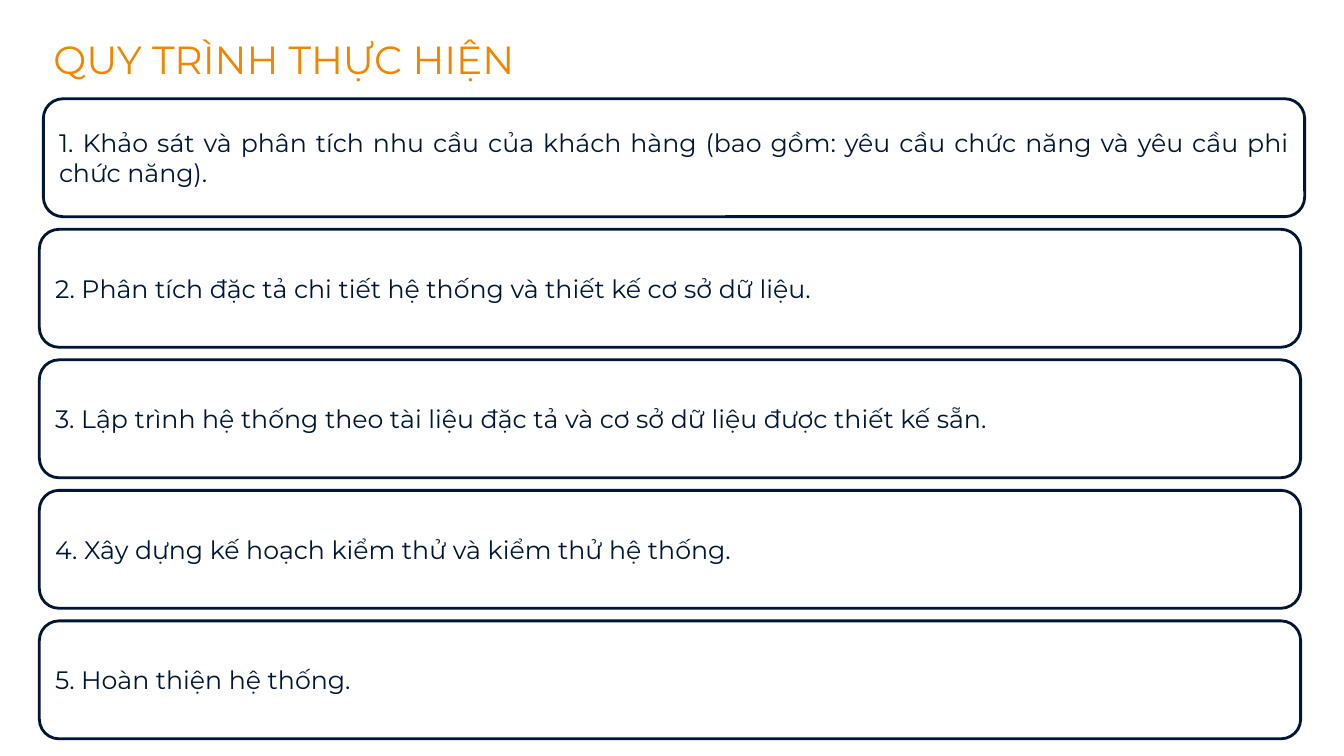
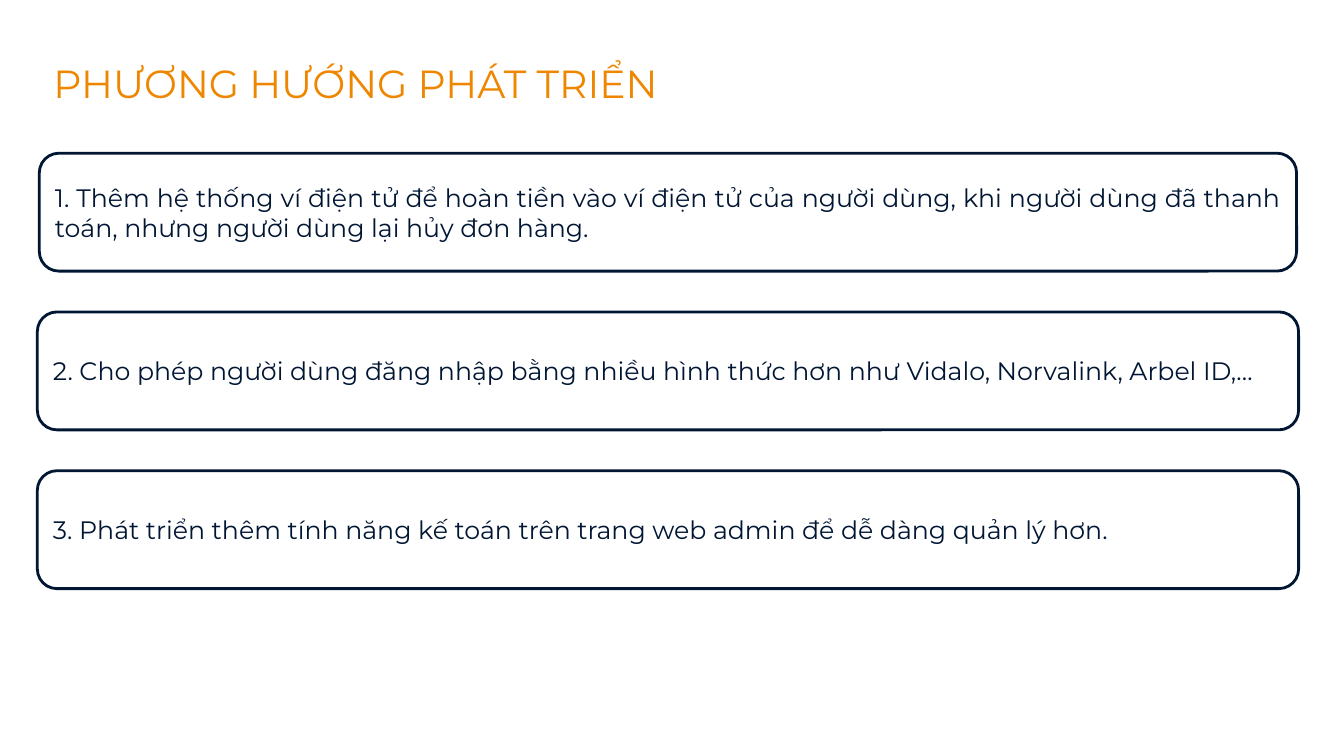
from pptx import Presentation
from pptx.dml.color import RGBColor
from pptx.enum.shapes import MSO_SHAPE
from pptx.enum.text import MSO_ANCHOR, MSO_AUTO_SIZE, PP_ALIGN
from pptx.util import Inches, Pt

COLORS = {"title": "EF8600", "ink": "001633", "card": "FFFFFF"}
FONT = "Montserrat"
CARD_HEIGHT = 1.17
TITLE_LEFT, TITLE_HEIGHT = 0.43, 0.57

# Each stack box is left, top, width, height; first_card is left, width
SLIDES = [
    {
        "title": "QUY TRÌNH THỰC HIỆN",
        "title_top": 0.3,
        "title_width": 6.96,
        "stack": (0.39, 0.98, 12.51, 6.35),
        "first_card": (0.43, 12.51),
        "items": [
            "1. Khảo sát và phân tích nhu cầu của khách hàng (bao gồm: "
            "yêu cầu chức năng và yêu cầu phi chức năng).",
            "2. Phân tích đặc tả chi tiết hệ thống và thiết kế cơ sở dữ liệu.",
            "3. Lập trình hệ thống theo tài liệu đặc tả và cơ sở dữ liệu "
            "được thiết kế sẵn.",
            "4. Xây dựng kế hoạch kiểm thử và kiểm thử hệ thống.",
            "5. Hoàn thiện hệ thống.",
        ],
    },
    {
        "title": "PHƯƠNG HƯỚNG PHÁT TRIỂN",
        "title_top": 0.54,
        "title_width": 6.57,
        "stack": (0.37, 1.52, 12.51, 4.32),
        "first_card": (0.39, 12.47),
        "items": [
            "1. Thêm hệ thống ví điện tử để hoàn tiền vào ví điện tử của "
            "người dùng, khi người dùng đã thanh toán, nhưng người dùng "
            "lại hủy đơn hàng.",
            "2. Cho phép người dùng đăng nhập bằng nhiều hình thức hơn như "
            "Vidalo, Norvalink, Arbel ID,…",
            "3. Phát triển thêm tính năng kế toán trên trang web admin để "
            "dễ dàng quản lý hơn.",
        ],
    },
]


def color(name):
    return RGBColor.from_string(COLORS[name])


def write_text(shape, text, size, color_name, alignment, anchor):
    frame = shape.text_frame
    frame.text = text
    frame.word_wrap = True
    frame.auto_size = MSO_AUTO_SIZE.NONE
    frame.vertical_anchor = anchor
    frame.margin_left = frame.margin_right = Inches(0.1)
    frame.margin_top = frame.margin_bottom = Inches(0.05)
    paragraph = frame.paragraphs[0]
    paragraph.alignment = alignment
    paragraph.space_before = Pt(0)
    font = paragraph.runs[0].font
    font.name, font.size = FONT, Pt(size)
    font.color.rgb = color(color_name)


def place_title(slide, text, top, width):
    title = slide.shapes.title
    title.left, title.top = Inches(TITLE_LEFT), Inches(top)
    title.width, title.height = Inches(width), Inches(TITLE_HEIGHT)
    write_text(title, text, 28, "title", PP_ALIGN.LEFT, MSO_ANCHOR.TOP)


def add_card(slide, text, left, top, width):
    card = slide.shapes.add_shape(
        MSO_SHAPE.ROUNDED_RECTANGLE,
        Inches(left), Inches(top), Inches(width), Inches(CARD_HEIGHT))
    card.shadow.inherit = False
    card.fill.solid()
    card.fill.fore_color.rgb = color("card")
    card.line.color.rgb = color("ink")
    card.line.width = Pt(2)
    write_text(card, text, 18, "ink", PP_ALIGN.JUSTIFY, MSO_ANCHOR.MIDDLE)


def add_card_stack(slide, items, box, first_card):
    """Spread the cards evenly down the box."""
    left, top, width, height = box
    pitch = (height - CARD_HEIGHT) / (len(items) - 1)
    for row, text in enumerate(items):
        card_left, card_width = (left, width) if row else first_card
        add_card(slide, text, card_left, top + row * pitch, card_width)


def main():
    presentation = Presentation()
    presentation.slide_width = Inches(13.33)
    presentation.slide_height = Inches(7.5)
    title_only = presentation.slide_layouts[5]
    for content in SLIDES:
        slide = presentation.slides.add_slide(title_only)
        place_title(slide, content["title"], content["title_top"],
                    content["title_width"])
        add_card_stack(slide, content["items"], content["stack"],
                       content["first_card"])
    presentation.save("out.pptx")


if __name__ == "__main__":
    main()
